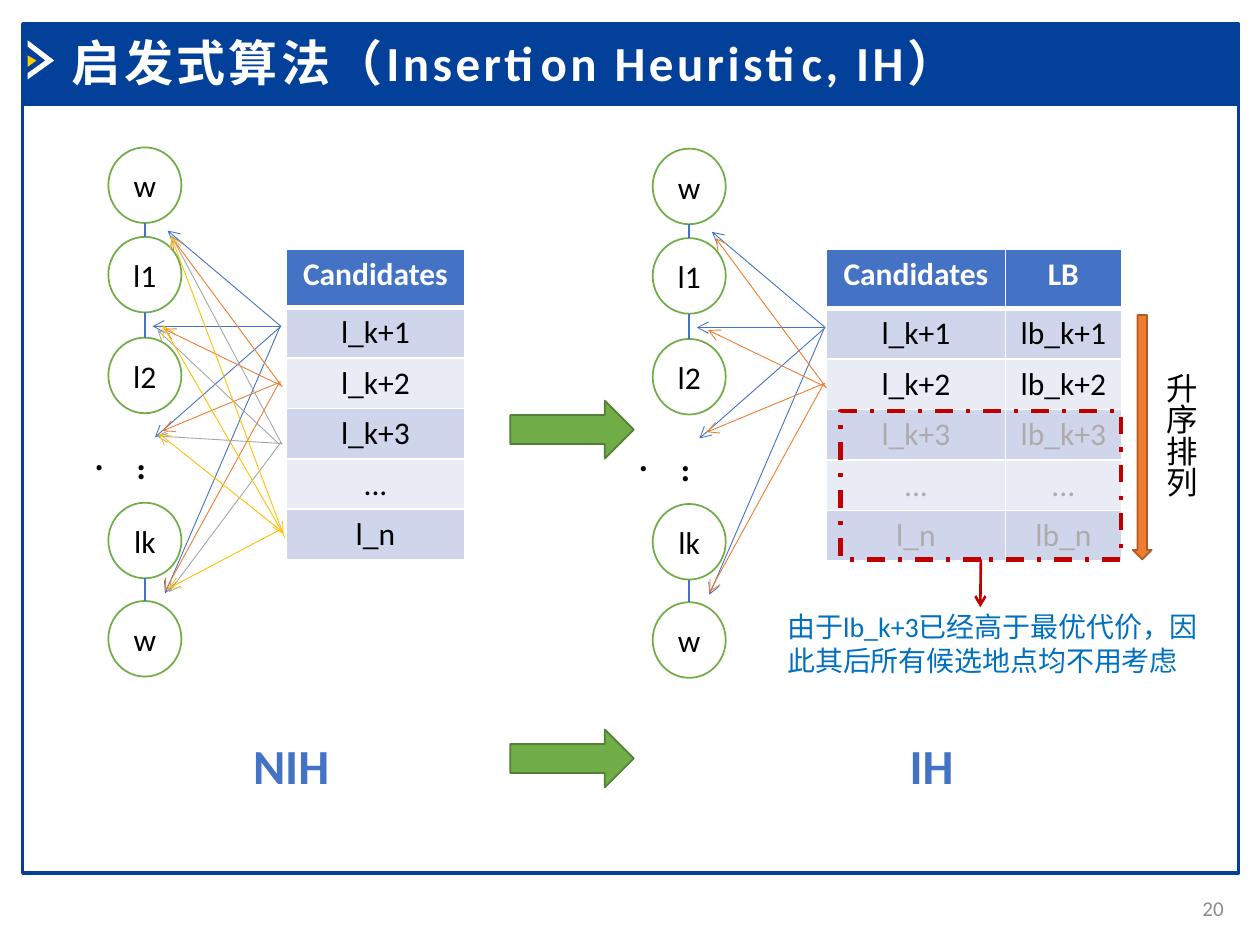
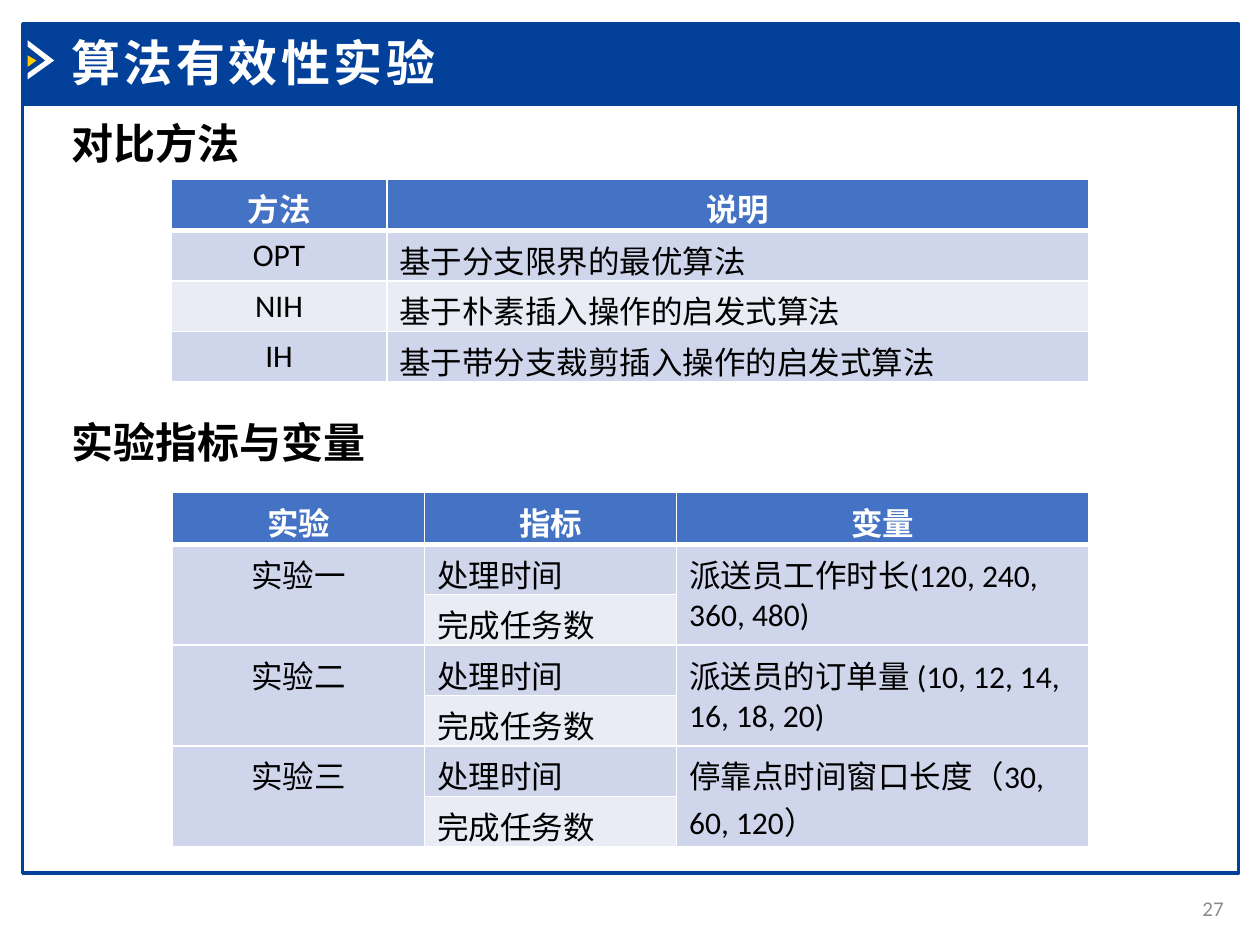
"""Build two slides on the insertion heuristic and its experiments."""
from lxml.etree import SubElement
from pptx import Presentation
from pptx.dml.color import RGBColor
from pptx.enum.dml import MSO_LINE
from pptx.enum.shapes import MSO_CONNECTOR, MSO_SHAPE as Shape
from pptx.enum.text import MSO_ANCHOR as Anchor, MSO_AUTO_SIZE as AutoSize, PP_ALIGN as Align
from pptx.oxml.ns import qn
from pptx.util import Inches, Pt

FONT = "Calibri"
NAVY, WHITE, BLACK, YELLOW, GREY = "02409A", "FFFFFF", "000000", "FFCC00", "8C8C8C"
BLUE, ORANGE, SILVER, GOLD, GREEN = "4472C4", "ED7D31", "A5A5A5", "FFC000", "70AD47"
RED, NOTE_BLUE, MUTED = "C00000", "0070C0", "AFABAB"
BANDS = ("E9EBF5", "CFD5EA")
GREEN_EDGE, ORANGE_EDGE = "538035", "AF5C24"

CHEVRON = [(0.22, 0.32), (0.22, 0.37), (0.36, 0.48), (0.22, 0.58), (0.22, 0.63), (0.43, 0.48)]
CHEVRON_TIP = [(0.22, 0.44), (0.22, 0.53), (0.29, 0.48)]

NODE_LEFT, NODE_WIDTH, NODE_HEIGHT = 0.86, 0.58, 0.6
ROUTE = [("w", 1.17), ("l1", 1.88), ("l2", 2.68), ("lk", 3.99), ("w", 4.77)]
LINKED = [(0, 1), (1, 2), (3, 4)]
ROUTE_DOTS = (0.89, 3.58, 0.54, 0.41)
INSERTIONS = [
    (BLUE, [((2.23, 2.59), (1.33, 1.83)), ((2.22, 2.59), (1.21, 2.59)),
            ((2.23, 2.59), (1.23, 3.47)), ((2.22, 2.6), (1.31, 4.71))]),
    (ORANGE, [((2.24, 3.07), (1.36, 1.88)), ((2.23, 3.06), (1.3, 2.61)),
              ((2.23, 3.03), (1.29, 3.42)), ((2.22, 3.03), (1.31, 4.69))]),
    (SILVER, [((2.24, 3.53), (1.36, 1.87)), ((2.21, 3.52), (1.25, 2.62)),
              ((2.23, 3.52), (1.24, 3.46)), ((2.23, 3.51), (1.34, 4.7))]),
    (GOLD, [((2.26, 4.27), (1.36, 1.88)), ((2.25, 4.24), (1.29, 2.58)),
            ((2.24, 4.22), (1.26, 3.44)), ((2.23, 4.2), (1.34, 4.67))]),
]
TWO_WAY = (GOLD, 1)
IH_SHIFT = (4.32, 0.01)

CANDIDATES = ["l_k+1", "l_k+2", "l_k+3", "...", "l_n"]
NIH_ROWS = [["Candidates"]] + [[place] for place in CANDIDATES]
IH_ROWS = [["Candidates", "LB"]] + [[place, place.replace("l_", "lb_")] for place in CANDIDATES]
PRUNED_FROM = 3
PRUNE_NOTE = "由于lb_k+3已经高于最优代价，因此其后所有候选地点均不用考虑"
METHODS = [
    ["方法", "说明"],
    ["OPT", "基于分支限界的最优算法"],
    ["NIH", "基于朴素插入操作的启发式算法"],
    ["IH", "基于带分支裁剪插入操作的启发式算法"],
]
TRIALS = [
    ("实验一", "派送员工作时长(120, 240, 360, 480)"),
    ("实验二", "派送员的订单量 (10, 12, 14, 16, 18, 20)"),
    ("实验三", "停靠点时间窗口长度（30, 60, 120）"),
]
EXPERIMENTS = [["实验", "指标", "变量"]]
for trial, variable in TRIALS:
    EXPERIMENTS += [[trial, "处理时间", variable], [None, "完成任务数", None]]


def rgb(colour):
    return RGBColor.from_string(colour)


def inches(*lengths):
    return [Inches(length) for length in lengths]


def write(frame, text, size, colour, bold=False, align=Align.LEFT, spacing=0):
    frame.text = text
    paragraph = frame.paragraphs[0]
    paragraph.alignment = align
    for run in paragraph.runs:
        run.font.name, run.font.size, run.font.bold = FONT, Pt(size), bold
        run.font.color.rgb = rgb(colour)
        if spacing:
            run.font._element.set("spc", str(spacing * 100))


def paint(shape, fill, edge, width):
    shape.shadow.inherit = False
    if fill:
        shape.fill.solid()
        shape.fill.fore_color.rgb = rgb(fill)
    else:
        shape.fill.background()
    if edge:
        shape.line.color.rgb = rgb(edge)
        shape.line.width = Pt(width)
    else:
        shape.line.fill.background()
    return shape


def add_block(slide, kind, place, fill, edge, width=1):
    return paint(slide.shapes.add_shape(kind, *inches(*place)), fill, edge, width)


def add_outline(slide, points, fill):
    corners = [inches(*point) for point in points]
    builder = slide.shapes.build_freeform(*corners[0])
    builder.add_line_segments(corners[1:], close=True)
    paint(builder.convert_to_shape(), fill, None, 0)


def add_text(slide, place, text, size, colour, wrap=True, grow=True, vertical=False, **style):
    frame = slide.shapes.add_textbox(*inches(*place)).text_frame
    write(frame, text, size, colour, **style)
    frame.word_wrap = wrap
    frame.auto_size = AutoSize.SHAPE_TO_FIT_TEXT if grow else AutoSize.NONE
    if vertical:
        frame._txBody.bodyPr.set("vert", "eaVert")
    return frame


def add_line(slide, start, end, colour, width, arrows=()):
    line = slide.shapes.add_connector(MSO_CONNECTOR.STRAIGHT, *inches(*start, *end))
    line.line.color.rgb = rgb(colour)
    line.line.width = Pt(width)
    SubElement(line._element.spPr, qn("a:effectLst"))
    for arrow in arrows:
        SubElement(line.line._get_or_add_ln(), qn(f"a:{arrow}"), type="arrow")
    return line


def add_borders(cell, row):
    heavy = {(0, "B"), (1, "T")}
    properties = cell._tc.get_or_add_tcPr()
    for side in "LRTB":
        width = 3 if (row, side) in heavy else 1
        border = SubElement(properties, qn(f"a:ln{side}"), w=str(Pt(width)))
        SubElement(SubElement(border, qn("a:solidFill")), qn("a:srgbClr"), val=WHITE)


def add_grid(slide, left, top, widths, heights, rows, centred, muted_from=None):
    place = inches(left, top, sum(widths), sum(heights))
    table = slide.shapes.add_table(len(rows), len(widths), *place).table
    for column, width in zip(table.columns, widths):
        column.width = Inches(width)
    for r, (texts, height) in enumerate(zip(rows, heights)):
        table.rows[r].height = Inches(height)
        header = r == 0
        colour = WHITE if header else MUTED if muted_from and r >= muted_from else BLACK
        for c, text in enumerate(texts):
            cell = table.cell(r, c)
            add_borders(cell, r)
            cell.fill.solid()
            cell.fill.fore_color.rgb = rgb(BLUE if header else BANDS[r % 2])
            if text is None:
                table.cell(r - 1, c).merge(cell)
            else:
                align = Align.CENTER if header or c in centred else Align.LEFT
                write(cell.text_frame, text, 18, colour, bold=header, align=align)


def start_slide(deck, title, title_width, number):
    slide = deck.slides.add_slide(deck.slide_layouts[6])
    add_block(slide, Shape.RECTANGLE, (0.18, 0.83, 9.65, 6.1), None, NAVY, 2)
    add_block(slide, Shape.RECTANGLE, (0.18, 0.19, 9.65, 0.64), NAVY, NAVY, 2)
    add_outline(slide, CHEVRON, WHITE)
    add_outline(slide, CHEVRON_TIP, YELLOW)
    footer = add_text(slide, (9.22, 7.01, 0.59, 0.4), number, 12, GREY, grow=False,
                      align=Align.RIGHT)
    footer.vertical_anchor = Anchor.MIDDLE
    add_text(slide, (0.47, 0.21, title_width, 0.57), title, 28, WHITE, bold=True, spacing=2)
    return slide


def add_route(slide, insertions, shift=(0, 0)):
    dx, dy = shift
    left, middle = NODE_LEFT + dx, NODE_LEFT + NODE_WIDTH / 2 + dx
    for label, top in ROUTE:
        node = add_block(slide, Shape.OVAL, (left, top + dy, NODE_WIDTH, NODE_HEIGHT), WHITE, GREEN)
        write(node.text_frame, label, 18, BLACK, align=Align.CENTER)
        node.text_frame.vertical_anchor = Anchor.MIDDLE
    for upper, lower in LINKED:
        bottom = ROUTE[upper][1] + NODE_HEIGHT + dy
        add_line(slide, (middle, bottom), (middle, ROUTE[lower][1] + dy), BLUE, 1.25)
    x, y, width, height = ROUTE_DOTS
    add_text(slide, (x + dx, y + dy, width, height), "...", 20, BLACK, bold=True, vertical=True)
    for colour, arrows in insertions:
        for i, ends in enumerate(arrows):
            start, end = [(px + dx, py + dy) for px, py in ends]
            heads = ("headEnd", "tailEnd") if (colour, i) == TWO_WAY else ("tailEnd",)
            add_line(slide, start, end, colour, 0.5, heads)


def build_heuristic(deck):
    slide = start_slide(deck, "启发式算法（Insertion Heuristic, IH）", 7.52, "20")
    add_grid(slide, 2.27, 1.98, [1.42], [0.46] + [0.4] * 5, NIH_ROWS, {0})
    add_route(slide, INSERTIONS)
    add_grid(slide, 6.56, 1.98, [1.42, 0.92], [0.47] + [0.4] * 5, IH_ROWS, {0, 1}, PRUNED_FROM)
    add_route(slide, INSERTIONS[:2], IH_SHIFT)
    for top in (3.18, 5.79):
        add_block(slide, Shape.RIGHT_ARROW, (4.05, top, 0.98, 0.46), GREEN, GREEN_EDGE)
    add_block(slide, Shape.DOWN_ARROW, (8.99, 2.5, 0.15, 1.94), ORANGE, ORANGE_EDGE)
    add_text(slide, (9.07, 2.86, 0.5, 1.1), "升序排列", 18, BLACK, wrap=False, vertical=True)
    pruned = add_block(slide, Shape.RECTANGLE, (6.67, 3.26, 2.23, 1.18), None, RED, 2.5)
    pruned.line.dash_style = MSO_LINE.DASH_DOT
    reason = add_line(slide, (7.78, 4.44), (7.78, 4.82), RED, 1.5, ("tailEnd",))
    reason.begin_connect(pruned, 2)
    add_text(slide, (6.15, 4.79, 3.5, 0.64), PRUNE_NOTE, 16, NOTE_BLUE)
    for name, left, width in (("NIH", 1.91, 0.85), ("IH", 7.12, 0.58)):
        add_text(slide, (left, 5.79, width, 0.57), name, 28, BLUE, wrap=False, bold=True)


def build_experiments(deck):
    slide = start_slide(deck, "算法有效性实验", 3.56, "27")
    for heading, top in (("对比方法", 0.88), ("实验指标与变量", 3.26)):
        add_text(slide, (0.47, top, 9.07, 0.5), heading, 24, BLACK, bold=True)
    add_grid(slide, 1.36, 1.42, [1.71, 5.57], [0.41] + [0.4] * 3, METHODS, {0})
    add_grid(slide, 1.37, 3.91, [2, 2, 3.27], [0.41] + [0.4] * 6, EXPERIMENTS, {0})


def main():
    deck = Presentation()
    deck.slide_width, deck.slide_height = inches(10, 7.5)
    build_heuristic(deck)
    build_experiments(deck)
    deck.save("out.pptx")


if __name__ == "__main__":
    main()
